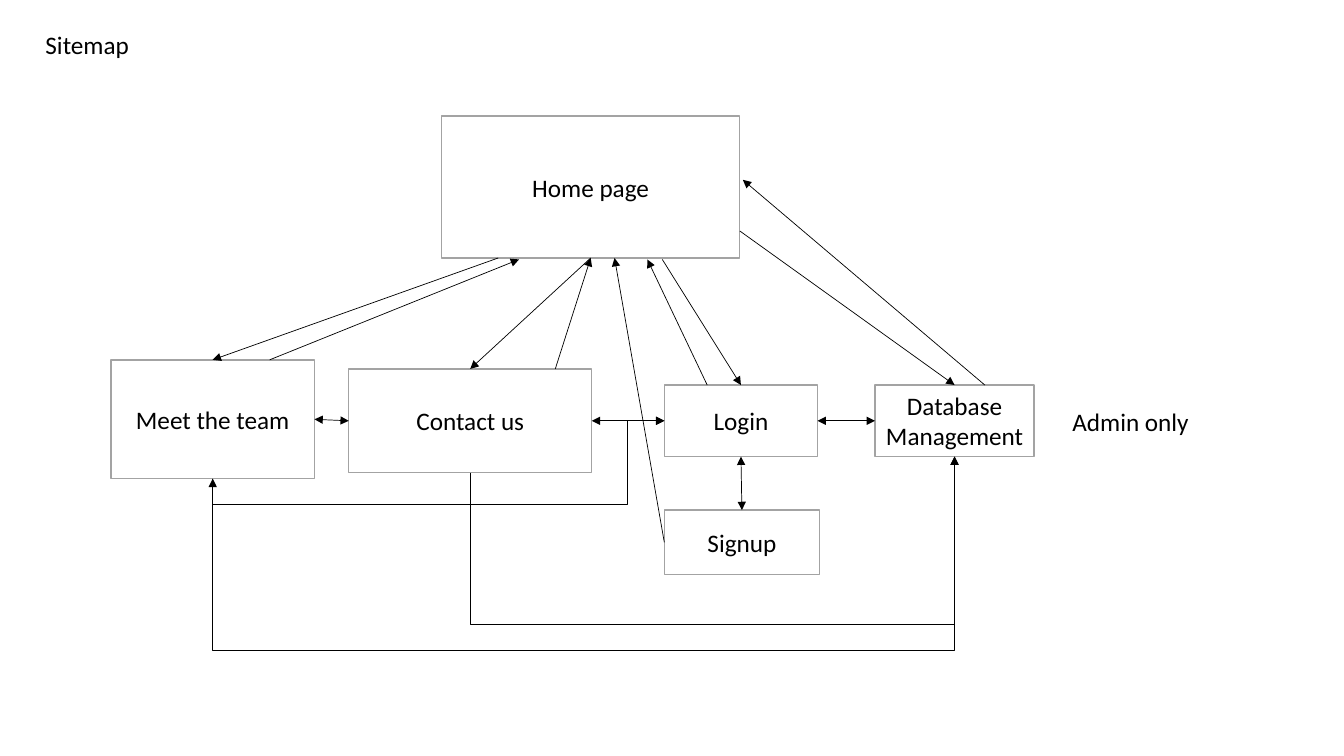
from lxml.etree import SubElement
from pptx import Presentation
from pptx.dml.color import RGBColor
from pptx.enum.shapes import MSO_CONNECTOR, MSO_SHAPE
from pptx.enum.text import MSO_ANCHOR, MSO_AUTO_SIZE, PP_ALIGN
from pptx.oxml.ns import qn
from pptx.util import Inches, Pt

COLOURS = {"paper": "FFFFFF", "border": "A3A3A3", "ink": "000000"}
WIDTH, HEIGHT = Inches(13.333), Inches(7.5)

# Left, top, width and height in percent of the slide
TITLE_BOX = (2.63, 3.2, 8.85, 5.33)
ADMIN_BOX = (79.05, 53.07, 10.35, 5.33)
PAGES = {
    "Home page": (32.85, 15.33, 22.2, 18.8),
    "Login": (49.43, 50.93, 11.4, 9.47),
    "Signup": (49.43, 67.47, 11.55, 8.53),
    "Meet the team": (8.25, 47.6, 15.15, 15.73),
    "Contact us": (25.95, 48.8, 18.08, 13.73),
    "Database Management": (65.1, 50.93, 11.85, 9.47),
}

# Points on a page box as shares of its width and height
TOP, LEFT, BOTTOM, RIGHT = (0.5, 0), (0, 0.5), (0.5, 1), (1, 0.5)
SITES = [TOP, LEFT, BOTTOM, RIGHT]

# From page, point, to page, point, arrowheads at both ends
LINKS = [
    ("Home page", (0.74, 1.01), "Login", TOP, False),
    ("Home page", BOTTOM, "Contact us", TOP, False),
    ("Home page", (0.19, 1), "Meet the team", TOP, False),
    ("Signup", LEFT, "Home page", (0.58, 1), False),
    ("Login", (0.28, 0), "Home page", (0.69, 1.01), False),
    ("Contact us", (0.85, 0), "Home page", BOTTOM, False),
    ("Meet the team", (0.78, 0), "Home page", (0.26, 1.01), False),
    ("Home page", (1, 0.81), "Database Management", TOP, False),
    ("Database Management", (0.69, 0), "Home page", (1.01, 0.45), False),
    ("Contact us", RIGHT, "Login", LEFT, True),
    ("Login", BOTTOM, "Signup", TOP, True),
    ("Meet the team", RIGHT, "Contact us", LEFT, True),
    ("Login", RIGHT, "Database Management", LEFT, True),
]

# From page, to page, point, lane (percent of height), turn (percent of width)
DETOURS = [
    ("Meet the team", "Database Management", BOTTOM, 86, None),
    ("Contact us", "Database Management", BOTTOM, 82.53, None),
    ("Meet the team", "Login", LEFT, 66.67, 46.72),
]


def share_x(percent):
    return round(WIDTH * percent / 100)


def share_y(percent):
    return round(HEIGHT * percent / 100)


def place(box):
    left, top, width, height = box
    return share_x(left), share_y(top), share_x(width), share_y(height)


def point_on(shape, point):
    across, down = point
    return (round(shape.left + across * shape.width),
            round(shape.top + down * shape.height))


def write(frame, text, align, anchor):
    frame.word_wrap = True
    frame.vertical_anchor = anchor
    para = frame.paragraphs[0]
    para.alignment = align
    span = para.add_run()
    span.text = text
    span.font.name = "Calibri"
    span.font.size = Pt(18)
    span.font.color.rgb = RGBColor.from_string(COLOURS["ink"])


def add_title(page):
    title = page.shapes.title
    title.left, title.top, title.width, title.height = place(TITLE_BOX)
    title.text_frame.auto_size = MSO_AUTO_SIZE.NONE
    write(title.text_frame, "Sitemap", PP_ALIGN.LEFT, MSO_ANCHOR.TOP)


def add_admin_label(page):
    label = page.shapes.add_textbox(*place(ADMIN_BOX))
    write(label.text_frame, "Admin only", PP_ALIGN.LEFT, MSO_ANCHOR.TOP)


def add_page_box(page, name, box):
    shape = page.shapes.add_shape(MSO_SHAPE.RECTANGLE, *place(box))
    shape.shadow.inherit = False
    shape.fill.solid()
    shape.fill.fore_color.rgb = RGBColor.from_string(COLOURS["paper"])
    shape.line.color.rgb = RGBColor.from_string(COLOURS["border"])
    shape.line.width = Pt(1)
    write(shape.text_frame, name, PP_ALIGN.CENTER, MSO_ANCHOR.MIDDLE)
    return shape


def style_arrow(arrow, both_ends):
    arrow.line.color.rgb = RGBColor.from_string(COLOURS["ink"])
    arrow.line.width = Pt(0.5)
    line = arrow.line._get_or_add_ln()
    for tag in ("a:headEnd", "a:tailEnd") if both_ends else ("a:tailEnd",):
        SubElement(line, qn(tag), type="triangle")
    SubElement(arrow._element.spPr, qn("a:effectLst"))


def add_link(page, source, source_point, target, target_point, both_ends):
    arrow = page.shapes.add_connector(
        MSO_CONNECTOR.STRAIGHT,
        *point_on(source, source_point), *point_on(target, target_point))
    if source_point in SITES:
        arrow.begin_connect(source, SITES.index(source_point))
    if target_point in SITES:
        arrow.end_connect(target, SITES.index(target_point))
    style_arrow(arrow, both_ends)


def add_detour(page, source, target, target_point, lane, turn):
    """Runs down from the source to a lane, along it and up to the target."""
    start_x, start_y = point_on(source, BOTTOM)
    end_x, end_y = point_on(target, target_point)
    rise, run = start_y - end_y, end_x - start_x
    # The connector lies on its side: its width is the rise, its height the run
    left = (start_x + end_x - rise) // 2
    top = (start_y + end_y - run) // 2
    arrow = page.shapes.add_connector(
        MSO_CONNECTOR.ELBOW, left, top, left + rise, top + run)
    properties = arrow._element.spPr
    frame = properties.find(qn("a:xfrm"))
    for key, value in (("rot", "5400000"), ("flipH", "1"), ("flipV", "1")):
        frame.set(key, value)

    bends = [(start_y - share_y(lane)) / rise]
    if turn is not None:
        bends.append((share_x(turn) - start_x) / run)
    geometry = properties.find(qn("a:prstGeom"))
    geometry.set("prst", f"bentConnector{len(bends) + 2}")
    guides = geometry.find(qn("a:avLst"))
    for number, bend in enumerate(bends, 1):
        SubElement(guides, qn("a:gd"), name=f"adj{number}",
                   fmla=f"val {round(bend * 100000)}")
    style_arrow(arrow, turn is not None)


def add_sitemap(page):
    boxes = {name: add_page_box(page, name, box) for name, box in PAGES.items()}
    for source, source_point, target, target_point, both_ends in LINKS:
        add_link(page, boxes[source], source_point,
                 boxes[target], target_point, both_ends)
    for source, target, target_point, lane, turn in DETOURS:
        add_detour(page, boxes[source], boxes[target], target_point, lane, turn)


def main():
    deck = Presentation()
    deck.slide_width, deck.slide_height = WIDTH, HEIGHT
    page = deck.slides.add_slide(deck.slide_layouts[5])
    add_title(page)
    add_sitemap(page)
    add_admin_label(page)
    deck.save("out.pptx")


if __name__ == "__main__":
    main()
